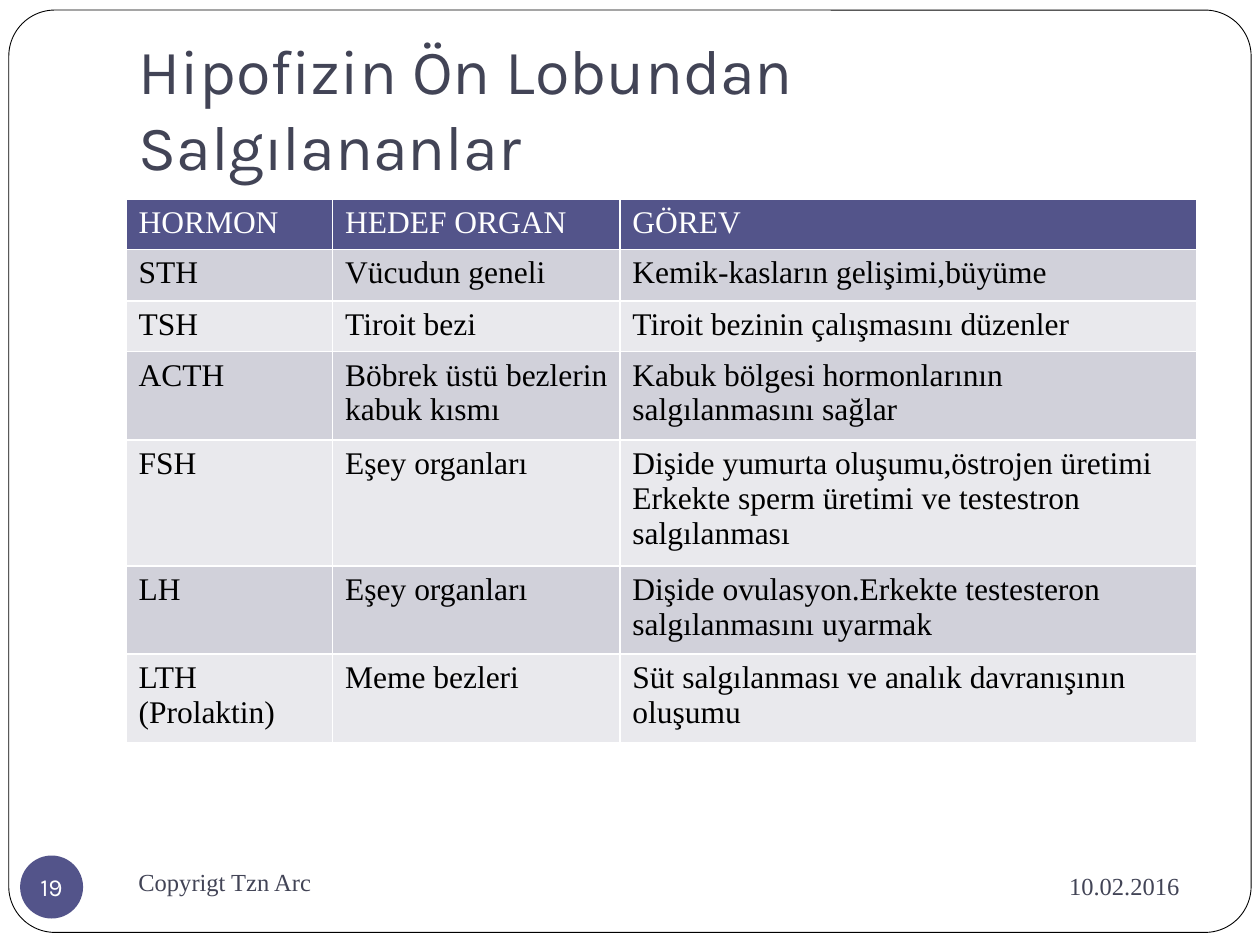
from typing import NamedTuple

from lxml import etree
from pptx import Presentation
from pptx import util as u
from pptx.dml.color import RGBColor
from pptx.enum import shapes, text
from pptx.oxml.ns import qn

INDIGO = RGBColor(0x53, 0x54, 0x8A)
SLATE = RGBColor(0x42, 0x44, 0x56)
BAND_DARK = RGBColor(0xD1, 0xD1, 0xDA)
BAND_LIGHT = RGBColor(0xE9, 0xE9, 0xED)
WHITE = RGBColor(0xFF, 0xFF, 0xFF)
BLACK = RGBColor(0, 0, 0)
SANS = "Karla"
SERIF = "Times New Roman"
LEFT, CENTER, RIGHT = text.PP_ALIGN.LEFT, text.PP_ALIGN.CENTER, text.PP_ALIGN.RIGHT
MIDDLE, BOTTOM = text.MSO_ANCHOR.MIDDLE, text.MSO_ANCHOR.BOTTOM


class Box(NamedTuple):
    left: float
    top: float
    width: float
    height: float

    def emu(self) -> list:
        return [u.Inches(v) for v in self]


class Hormone(NamedTuple):
    name: str
    target: str
    task: str


HEADER = Hormone("HORMON", "HEDEF ORGAN", "GÖREV")
HORMONES = [
    Hormone("STH", "Vücudun geneli", "Kemik-kasların gelişimi,büyüme"),
    Hormone("TSH", "Tiroit bezi", "Tiroit bezinin çalışmasını düzenler"),
    Hormone("ACTH", "Böbrek üstü bezlerin kabuk kısmı",
            "Kabuk bölgesi hormonlarının salgılanmasını sağlar"),
    Hormone("FSH", "Eşey organları",
            "Dişide yumurta oluşumu,östrojen üretimi\n"
            "Erkekte sperm üretimi ve testestron salgılanması"),
    Hormone("LH", "Eşey organları",
            "Dişide ovulasyon.Erkekte testesteron salgılanmasını uyarmak"),
    Hormone("LTH (Prolaktin)", "Meme bezleri",
            "Süt salgılanması ve analık davranışının oluşumu"),
]
COLUMN_WIDTHS = [1.64, 2.28, 4.58]
ROW_HEIGHTS = [0.4, 0.41, 0.4, 0.65, 0.93, 0.65, 0.65]


def write(tf, content: str, *, size: float, font: str = SERIF,
          color: RGBColor = SLATE, align=LEFT) -> None:
    """Fill a text frame, one paragraph per line."""
    for i, line in enumerate(content.split("\n")):
        p = tf.paragraphs[0] if i == 0 else tf.add_paragraph()
        p.alignment = align
        r = p.add_run()
        r.text = line
        r.font.size = u.Pt(size)
        r.font.name = font
        r.font.color.rgb = color


def add_text(s, box: Box, content: str, *, anchor=MIDDLE,
             insets=(0.1, 0.05, 0.1, 0.05), **fmt) -> None:
    tf = s.shapes.add_textbox(*box.emu()).text_frame
    tf.word_wrap = True
    tf.vertical_anchor = anchor
    (tf.margin_left, tf.margin_top,
     tf.margin_right, tf.margin_bottom) = map(u.Inches, insets)
    write(tf, content, **fmt)


def add_plain_shape(s, kind, box: Box, fill: RGBColor):
    sp = s.shapes.add_shape(kind, *box.emu())
    sp.shadow.inherit = False
    sp.fill.solid()
    sp.fill.fore_color.rgb = fill
    sp.line.fill.background()
    return sp


def style_cell(cell, fill: RGBColor) -> None:
    """Thin white borders, then the fill that must follow them."""
    cell.margin_right = u.Inches(0.05)
    tc_pr = cell._tc.get_or_add_tcPr()
    for side in ("lnL", "lnR", "lnT", "lnB"):
        ln = etree.SubElement(tc_pr, qn(f"a:{side}"), w=str(u.Pt(1)))
        solid = etree.SubElement(ln, qn("a:solidFill"))
        etree.SubElement(solid, qn("a:srgbClr"), val=str(WHITE))
    cell.fill.solid()
    cell.fill.fore_color.rgb = fill


def add_hormone_table(s, left: float, top: float) -> None:
    rows = [HEADER, *HORMONES]
    box = Box(left, top, sum(COLUMN_WIDTHS), sum(ROW_HEIGHTS))
    table = s.shapes.add_table(len(rows), len(COLUMN_WIDTHS), *box.emu()).table
    for column, width in zip(table.columns, COLUMN_WIDTHS):
        column.width = u.Inches(width)
    for i, (hormone, height) in enumerate(zip(rows, ROW_HEIGHTS)):
        table.rows[i].height = u.Inches(height)
        if i == 0:
            fill, color = INDIGO, WHITE
        else:
            fill, color = (BAND_DARK if i % 2 else BAND_LIGHT), BLACK
        for j, content in enumerate(hormone):
            cell = table.cell(i, j)
            style_cell(cell, fill)
            write(cell.text_frame, content, size=18, color=color)


def main() -> None:
    prs = Presentation()
    prs.slide_width, prs.slide_height = u.Inches(10), u.Inches(7.5)
    s = prs.slides.add_slide(prs.slide_layouts[6])

    # Rounded frame
    frame = add_plain_shape(s, shapes.MSO_SHAPE.ROUNDED_RECTANGLE,
                            Box(0.07, 0.08, 9.86, 7.32), WHITE)
    frame.adjustments[0] = 0.05
    frame.line.color.rgb = BLACK
    frame.line.width = u.Pt(0.5)

    # Title
    add_text(s, Box(1, 0.3, 8.5, 1.25), "Hipofizin Ön Lobundan Salgılananlar",
             anchor=BOTTOM, insets=(0.1, 0.05, 0.2, 0.1), size=36, font=SANS)

    # Footer: date, copyright, page number
    add_text(s, Box(6.75, 6.77, 2.71, 0.52), "10.02.2016", size=14, align=RIGHT)
    add_text(s, Box(1, 6.75, 4.33, 0.5), "Copyrigt Tzn Arc", size=14)
    badge = add_plain_shape(s, shapes.MSO_SHAPE.OVAL,
                            Box(0.16, 6.79, 0.5, 0.5), INDIGO)
    tf = badge.text_frame
    tf.word_wrap = False
    tf.vertical_anchor = MIDDLE
    tf.margin_left = tf.margin_top = tf.margin_right = tf.margin_bottom = 0
    write(tf, "19", size=14, font=SANS, color=WHITE, align=CENTER)

    # Hormone table
    add_hormone_table(s, 1, 1.58)

    prs.save("out.pptx")


if __name__ == "__main__":
    main()
